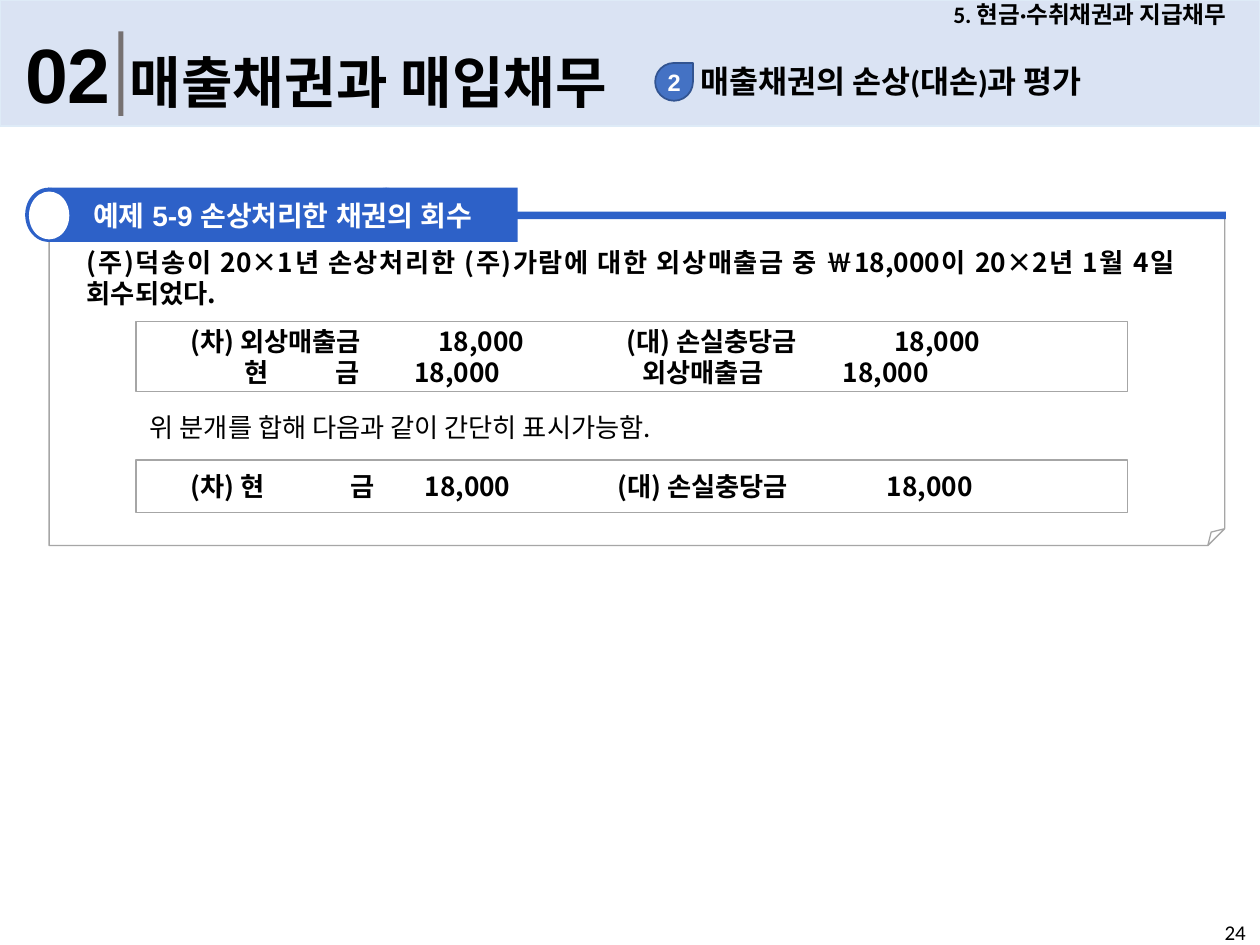
import pptx
import pptx.util
import pptx.dml.color
import pptx.enum.shapes
import pptx.enum.text
import pptx.oxml.ns
import lxml.etree

Inches = pptx.util.Inches
Pt = pptx.util.Pt
SHAPE = pptx.enum.shapes.MSO_SHAPE
ALIGN = pptx.enum.text.PP_ALIGN
ANCHOR = pptx.enum.text.MSO_ANCHOR
qn = pptx.oxml.ns.qn

BLUE = "2D61C8"
GRAY = "A6A6A6"
BODY = "Noto Sans CJK KR"
BODY_LINE = Pt(17.7)


def rgb(value):
    return pptx.dml.color.RGBColor.from_string(value)


def add_box(s, kind, at, fill=None, line=None, width=0.75):
    sp = s.shapes.add_shape(kind, *[Inches(v) for v in at])
    sp.shadow.inherit = False
    if fill:
        sp.fill.solid()
        sp.fill.fore_color.rgb = rgb(fill)
    else:
        sp.fill.background()
    if line:
        sp.line.color.rgb = rgb(line)
        sp.line.width = Pt(width)
    else:
        sp.line.fill.background()
    return sp


def add_tabs(p, stops):
    tabs = lxml.etree.SubElement(p._p.get_or_add_pPr(), qn("a:tabLst"))
    for stop in stops:
        lxml.etree.SubElement(tabs, qn("a:tab"), pos=str(Inches(stop)), algn="l")


def write(sp, text, size=15, font=BODY, color="000000", bold=True,
          align=ALIGN.LEFT, anchor=ANCHOR.TOP, wrap=True,
          inset=(0.1, 0.05), spacing=None, tabs=()):
    """Fill a shape; each line is a paragraph with its own tab stops."""
    tf = sp.text_frame
    tf.word_wrap = wrap
    tf.auto_size = pptx.enum.text.MSO_AUTO_SIZE.NONE
    tf.vertical_anchor = anchor
    tf.margin_left = tf.margin_right = Inches(inset[0])
    tf.margin_top = tf.margin_bottom = Inches(inset[1])
    for i, line in enumerate(text.split("\n")):
        p = tf.add_paragraph() if i else tf.paragraphs[0]
        p.alignment = align
        if spacing:
            p.line_spacing = spacing
        if tabs:
            add_tabs(p, tabs[i])
        r = p.add_run()
        r.text = line
        r.font.size = Pt(size)
        r.font.name = font
        r.font.bold = bold
        r.font.color.rgb = rgb(color)
        ea = lxml.etree.SubElement(r.font._element, qn("a:ea"))
        ea.set("typeface", font)
    return sp


def add_text(s, at, text, **style):
    sp = s.shapes.add_textbox(*[Inches(v) for v in at])
    return write(sp, text, **style)


def add_entry(s, at, text, tabs):
    """Framed journal entry with tabbed columns."""
    sp = add_box(s, SHAPE.RECTANGLE, at, "FFFFFF", GRAY)
    write(sp, text, anchor=ANCHOR.MIDDLE, inset=(0.11, 0.05),
          spacing=BODY_LINE, tabs=tabs)


def add_header(s):
    title = s.shapes.title
    band = add_box(s, SHAPE.RECTANGLE, (0, 0, 10, 1), "DAE3F3", "DEEBF7", 1)
    title.element.addprevious(band.element)
    title.left, title.top, title.width, title.height = [
        Inches(v) for v in (0.93, 0.32, 4.41, 0.64)]
    write(title, "매출채권과 매입채무", size=32, font="Calibri",
          anchor=ANCHOR.MIDDLE, wrap=False)
    add_text(s, (7.3, 0, 2.7, 0.23), "5. 현금·수취채권과 지급채무", size=13.5,
             font="Calibri", align=ALIGN.CENTER, anchor=ANCHOR.MIDDLE)
    add_text(s, (0.1, 0.16, 0.91, 0.84), "02", size=44, font="Arial", wrap=False)
    add_box(s, SHAPE.RECTANGLE, (0.94, 0.25, 0.04, 0.67), "767171")
    # Section number and heading
    add_text(s, (5.46, 0.44, 3.83, 0.4), "매출채권의 손상(대손)과 평가", size=18,
             font="Calibri", wrap=False)
    drop = add_box(s, SHAPE.TEAR, (5.2, 0.5, 0.3, 0.3), "4472C4", "325491", 1)
    write(drop, "2", size=13.5, font="Arial", color="FFFFFF", wrap=False,
          align=ALIGN.CENTER, anchor=ANCHOR.MIDDLE, inset=(0, 0))


def add_example_frame(s):
    page = add_box(s, SHAPE.FOLDED_CORNER, (0.39, 1.71, 9.33, 2.62), line=GRAY)
    # Small fold at the page corner
    guides = page.element.spPr.find(qn("a:prstGeom")).find(qn("a:avLst"))
    lxml.etree.SubElement(guides, qn("a:gd"), name="adj", fmla="val 5100")
    add_box(s, SHAPE.RECTANGLE, (0.4, 1.68, 9.33, 0.06), BLUE)
    for left in (0.2, 2.88):
        add_box(s, SHAPE.OVAL, (left, 1.49, 0.37, 0.43), BLUE)
    label = add_box(s, SHAPE.RECTANGLE, (0.38, 1.49, 3.73, 0.43), BLUE)
    write(label, "예제 5-9 손상처리한 채권의 회수", size=16, font="Arial",
          color="FFFFFF", align=ALIGN.CENTER, anchor=ANCHOR.MIDDLE)
    add_box(s, SHAPE.OVAL, (0.23, 1.52, 0.32, 0.38), "FFFFFF")


def main():
    prs = pptx.Presentation()
    prs.slide_width, prs.slide_height = Inches(10), Inches(7.5)
    s = prs.slides.add_slide(prs.slide_layouts[5])
    add_header(s)
    add_example_frame(s)

    # Example and its journal entries
    add_text(s, (0.58, 1.91, 8.85, 0.63),
             "(주)덕송이 20×1년 손상처리한 (주)가람에 대한 외상매출금 중 "
             "￦18,000이 20×2년 1월 4일 회수되었다.",
             align=ALIGN.JUSTIFY, inset=(0.11, 0.05), spacing=BODY_LINE)
    add_entry(s, (1.08, 2.55, 7.87, 0.56),
              "\t(차) 외상매출금\t18,000\t(대) 손실충당금\t18,000\n"
              "\t현\t금\t18,000\t외상매출금\t18,000",
              [(0.32, 2.29, 3.78, 5.91), (0.75, 1.47, 2.1, 3.91, 5.5)])
    add_text(s, (1.08, 3.22, 8.5, 0.39),
             "위 분개를 합해 다음과 같이 간단히 표시가능함.", bold=False,
             align=ALIGN.JUSTIFY, inset=(0.11, 0.05), spacing=BODY_LINE)
    add_entry(s, (1.08, 3.65, 7.87, 0.42),
              "\t(차) 현\t금\t18,000\t(대) 손실충당금\t18,000",
              [(0.32, 1.59, 2.18, 3.71, 5.85)])

    # Page number
    add_text(s, (9.62, 7.25, 0.38, 0.25), "24", size=12, font="Calibri",
             bold=False, wrap=False)
    prs.save("out.pptx")


if __name__ == "__main__":
    main()
